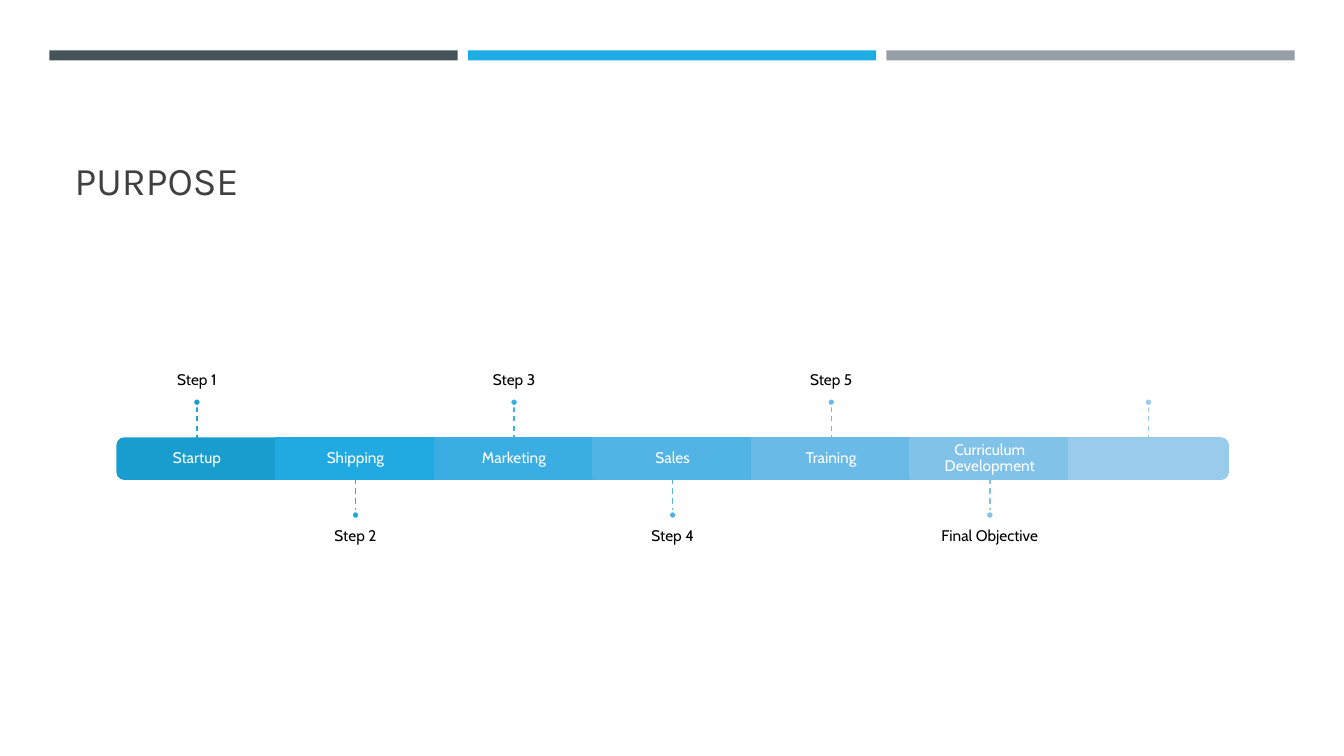
from dataclasses import dataclass

from lxml import etree
from pptx import Presentation
from pptx import util as u
from pptx.dml.color import RGBColor
from pptx.enum import dml, shapes, text
from pptx.oxml import ns

WIDE, HIGH = u.Inches(13.33), u.Inches(7.5)
LEFT, COL = 0.0875 * WIDE, 0.118 * WIDE
TOP, ROW = 0.58 * HIGH, 0.0533 * HIGH  # the bar fills row 0 to row 1
DOT, STEM, NOTE = 0.2, 0.8, 3.48  # heights in rows
SPAN = 1.67  # note width in columns

HEX = {"dark": "465359", "blue": "1CADE4", "grey": "969FA7",
       "title": "404040", "ink": "000000", "white": "FFFFFF"}
PAD = u.Inches(0.09)
MID, LOW, HEAD = (text.MSO_ANCHOR.MIDDLE, text.MSO_ANCHOR.BOTTOM,
                  text.MSO_ANCHOR.TOP)


@dataclass
class Step:
    name: str
    note: str
    fill: str
    stem: str


STEPS = [
    Step("Startup", "Step 1", "199DCF", "1BA5DA"),
    Step("Shipping", "Step 2", "21A9E2", "2AACE3"),
    Step("Marketing", "Step 3", "3AADE3", "40B0E4"),
    Step("Sales", "Step 4", "52B3E5", "57B5E6"),
    Step("Training", "Step 5", "6ABAE7", "6DBCE8"),
    Step("Curriculum Development", "Final Objective", "81C2E9", "82C3EA"),
    Step("", "", "99CBEC", "98CBEC"),
]


def rgb(code: str) -> RGBColor:
    return RGBColor.from_string(code)


def put(obj, vals: dict) -> None:
    """Set each named attribute of obj."""
    for key, val in vals.items():
        setattr(obj, key, val)


def grid(col: float, row: float, wide: float, high: float) -> list[int]:
    """Turn columns and rows of the timeline into left, top, width, height."""
    return [round(v) for v in (LEFT + col * COL, TOP + row * ROW,
                               wide * COL, high * ROW)]


def block(slide, kind, box: list[int], fill: str, edge: str = ""):
    shape = slide.shapes.add_shape(kind, *box)
    shape.shadow.inherit = False
    shape.fill.solid()
    shape.fill.fore_color.rgb = rgb(fill)
    if edge:
        shape.line.color.rgb = rgb(edge)
        shape.line.width = u.Pt(1.75)
    else:
        shape.line.fill.background()
    return shape


def write(slide, words: str, box: list[int], ink: str, form: dict) -> None:
    frame = slide.shapes.add_textbox(*box).text_frame
    put(frame, {"word_wrap": True, **form})
    para = frame.paragraphs[0]
    put(para, {"text": words, "alignment": text.PP_ALIGN.CENTER,
               "line_spacing": 0.9})
    put(para.runs[0].font, {"size": u.Pt(11), "name": "Cabin"})
    para.runs[0].font.color.rgb = rgb(ink)


def band(slide, num: int, step: Step):
    """Draw one part of the bar; the two ends are rounded outwards."""
    if 0 < num < len(STEPS) - 1:
        return block(slide, shapes.MSO_SHAPE.RECTANGLE,
                     grid(num, 0, 1, 1), step.fill, step.fill)
    x, y, wide, high = grid(num, 0, 1, 1)
    box = [x + (wide - high) // 2, y + (high - wide) // 2, high, wide]
    part = block(slide, shapes.MSO_SHAPE.ROUND_2_SAME_RECTANGLE,
                 box, step.fill, step.fill)
    part.rotation = 90 if num else 270
    return part


def stem(slide, num: int, step: Step, part) -> None:
    above = num % 2 == 0
    x, y, _, high = grid(num + 0.5, -STEM if above else 1, 0, STEM)
    line = slide.shapes.add_connector(shapes.MSO_CONNECTOR.STRAIGHT,
                                      x, y, x, y + high)
    if not part.rotation:
        if above:
            line.end_connect(part, 0)
        else:
            line.begin_connect(part, 2)
    line.line.color.rgb = rgb(step.stem)
    put(line.line, {"width": u.Pt(1), "dash_style": dml.MSO_LINE.DASH})
    etree.SubElement(line._element.spPr, ns.qn("a:effectLst"))


def mark(slide, num: int, step: Step) -> None:
    """Draw one step: bar part, name, note, stem and dot."""
    above = num % 2 == 0
    part = band(slide, num, step)
    if step.name:
        sides = ("left", "top", "right", "bottom")
        write(slide, step.name, grid(num, 0, 1, 1), HEX["white"],
              {"vertical_anchor": MID,
               **{f"margin_{side}": PAD for side in sides}})
    if step.note:
        row = -STEM - DOT - NOTE if above else 1 + STEM + DOT
        write(slide, step.note,
              grid(num + (1 - SPAN) / 2, row, SPAN, NOTE), HEX["ink"],
              {"vertical_anchor": LOW if above else HEAD,
               "margin_left": 0, "margin_right": 0,
               "margin_top": 0 if above else PAD,
               "margin_bottom": PAD if above else 0})
    stem(slide, num, step, part)
    x, y, _, size = grid(num + 0.5, -STEM - DOT if above else 1 + STEM, 0, DOT)
    block(slide, shapes.MSO_SHAPE.OVAL, [x - size // 2, y, size, size],
          step.fill, HEX["white"])


def head(slide) -> None:
    for num, name in enumerate(("dark", "blue", "grey")):
        box = [u.Inches(v) for v in (0.49 + 4.15 * num, 0.5, 4.05, 0.1)]
        block(slide, shapes.MSO_SHAPE.RECTANGLE, box, HEX[name])
    title = slide.shapes.title
    put(title, {"left": u.Inches(0.64), "top": u.Inches(0.77),
                "width": u.Inches(12.06), "height": u.Inches(1.3)})
    put(title.text_frame, {"text": "PURPOSE", "vertical_anchor": LOW,
                           "auto_size": text.MSO_AUTO_SIZE.NONE})
    para = title.text_frame.paragraphs[0]
    para.alignment = text.PP_ALIGN.LEFT
    put(para.runs[0].font, {"size": u.Pt(28), "name": "Karla"})
    para.runs[0].font.color.rgb = rgb(HEX["title"])


def main() -> None:
    deck = Presentation()
    put(deck, {"slide_width": WIDE, "slide_height": HIGH})
    slide = deck.slides.add_slide(deck.slide_layouts[5])
    head(slide)
    for num, step in enumerate(STEPS):
        mark(slide, num, step)
    deck.save("out.pptx")


if __name__ == "__main__":
    main()
